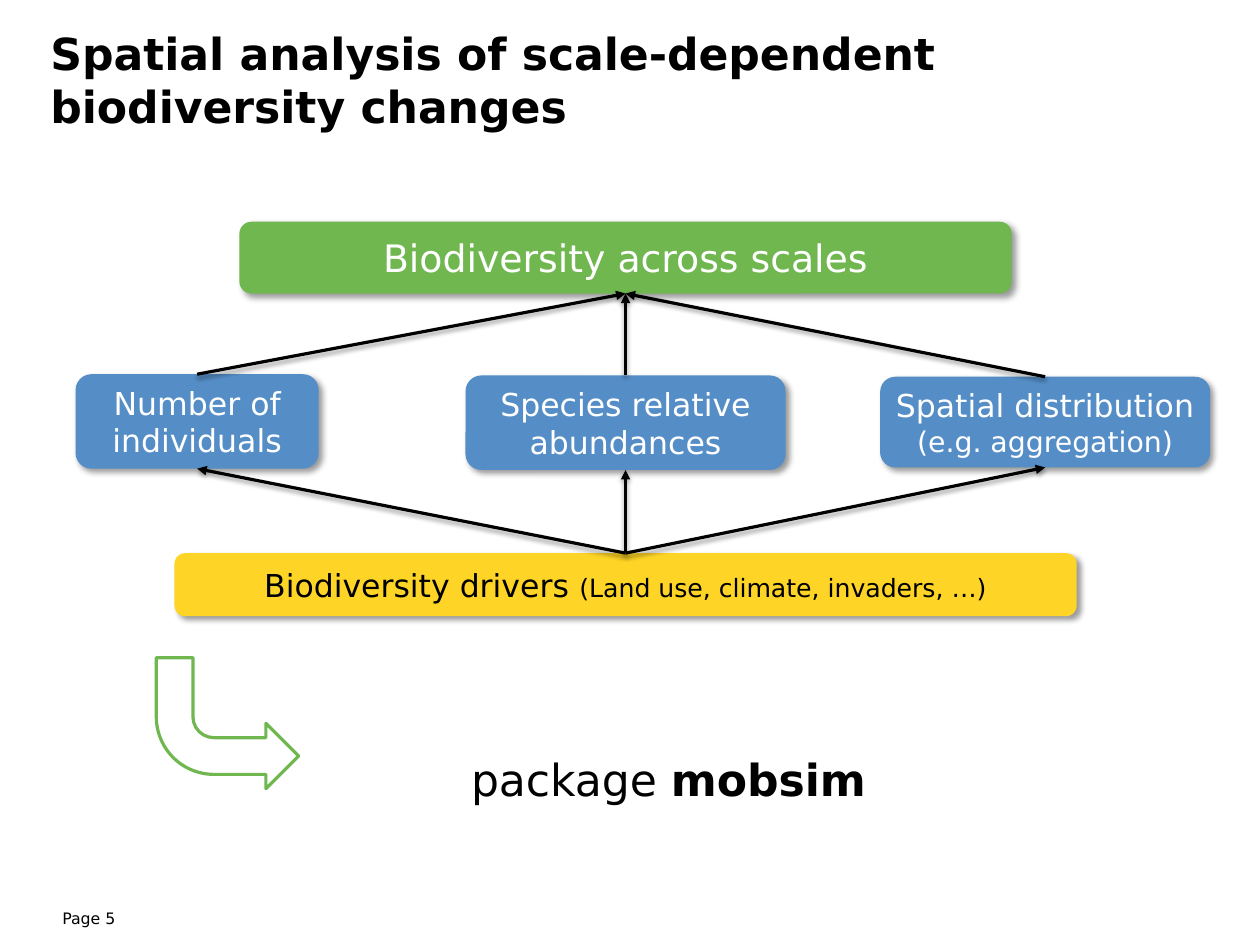
from dataclasses import dataclass

from lxml.etree import SubElement
from pptx import Presentation
from pptx.dml.color import RGBColor as Rgb
from pptx.enum.shapes import MSO_CONNECTOR as Connector, MSO_SHAPE as Preset
from pptx.enum.text import MSO_ANCHOR as Anchor, PP_ALIGN as Align
from pptx.oxml.ns import qn
from pptx.util import Inches, Pt

TOP, BOTTOM = 0, 2


@dataclass(frozen=True)
class Theme:
    """Colours, font, type sizes and shadows of the slide."""
    font: str = "DejaVu Sans"
    ink: str = "000000"
    paper: str = "FFFFFF"
    outcome: str = "70B74F"
    component: str = "558EC7"
    driver: str = "FED426"
    heading: int = 28
    large: int = 24
    body: int = 20
    medium: int = 18
    small: int = 16
    footer: int = 10
    stroke: int = 2
    box_shadow: tuple = (40, 4, 3, 45)
    arrow_shadow: tuple = (38, 3.1, 1.6, 90)


def write(frame, *paragraphs, theme, size, color, bold=False, align=Align.LEFT,
          anchor=Anchor.TOP, margins=(0, 0)):
    """Fill a frame with paragraphs, each a list of (text, overrides) runs."""
    frame.word_wrap = True
    frame.vertical_anchor = anchor
    frame.margin_left = frame.margin_right = Inches(margins[0])
    frame.margin_top = frame.margin_bottom = Inches(margins[1])
    for index, runs in enumerate(paragraphs):
        paragraph = frame.add_paragraph() if index else frame.paragraphs[0]
        paragraph.alignment = align
        for words, overrides in runs:
            run = paragraph.add_run()
            run.text = words
            run.font.name = theme.font
            run.font.size = Pt(overrides.get("size", size))
            run.font.bold = overrides.get("bold", bold)
            run.font.color.rgb = Rgb.from_string(color)


def cast_shadow(effects, color, opacity, blur, distance, angle):
    """Add an outer shadow to an effect list."""
    shadow = SubElement(effects, qn("a:outerShdw"), blurRad=str(Pt(blur)),
                        dist=str(Pt(distance)), dir=str(angle * 60000),
                        algn="ctr", rotWithShape="0")
    tint = SubElement(shadow, qn("a:srgbClr"), val=color)
    SubElement(tint, qn("a:alpha"), val=str(opacity * 1000))


class Sketch:
    """Draws on one slide, measured in a grid of 100 columns by 75 rows."""

    def __init__(self, deck, theme):
        self.theme = theme
        self.column = deck.slide_width / 100
        self.row = deck.slide_height / 75
        self.shapes = deck.slides.add_slide(deck.slide_layouts[6]).shapes

    def place(self, left, top, width, height):
        """Turn grid units into slide lengths."""
        return (round(left * self.column), round(top * self.row),
                round(width * self.column), round(height * self.row))

    def text(self, area, *runs, **style):
        """Add a text box with one paragraph."""
        frame = self.shapes.add_textbox(*self.place(*area)).text_frame
        write(frame, runs, theme=self.theme, **style)

    def box(self, center, top, width, height, fill, *paragraphs, **style):
        """Add a shadowed rounded box around a centre column."""
        area = self.place(center - width / 2, top, width, height)
        box = self.shapes.add_shape(Preset.ROUNDED_RECTANGLE, *area)
        box.fill.solid()
        box.fill.fore_color.rgb = Rgb.from_string(fill)
        box.line.fill.background()
        box.shadow.inherit = False
        effects = box.element.spPr.find(qn("a:effectLst"))
        cast_shadow(effects, self.theme.ink, *self.theme.box_shadow)
        write(box.text_frame, *paragraphs, theme=self.theme, align=Align.CENTER,
              anchor=Anchor.MIDDLE, margins=(0.08, 0.04), **style)
        return box

    def arrow(self, lower, upper):
        """Join the top of one box to the bottom of another."""
        arrow = self.shapes.add_connector(Connector.STRAIGHT, 0, 0, 0, 0)
        arrow.begin_connect(lower, TOP)
        arrow.end_connect(upper, BOTTOM)
        arrow.line.width = Pt(self.theme.stroke)
        arrow.line.color.rgb = Rgb.from_string(self.theme.ink)
        outline = arrow.element.spPr.find(qn("a:ln"))
        SubElement(outline, qn("a:tailEnd"), type="triangle")
        effects = SubElement(arrow.element.spPr, qn("a:effectLst"))
        cast_shadow(effects, self.theme.ink, *self.theme.arrow_shadow)

    def bent_arrow(self, area, color, adjustments):
        """Add an outlined arrow that bends from down to right."""
        bend = self.shapes.add_shape(Preset.BENT_ARROW, *self.place(*area))
        for index, value in enumerate(adjustments):
            bend.adjustments[index] = value
        bend.rotation = 180
        bend.element.spPr.find(qn("a:xfrm")).set("flipH", "1")
        bend.fill.background()
        bend.line.color.rgb = Rgb.from_string(color)
        bend.line.width = Pt(self.theme.stroke)
        bend.shadow.inherit = False


def main():
    """Build and save the slide."""
    deck = Presentation()
    deck.slide_width, deck.slide_height = Inches(11.11), Inches(8.33)
    theme = Theme()
    sketch = Sketch(deck, theme)
    axis = 49.65

    sketch.text((4.95, 72.1, 15.5, 1.5), ("Page 5", {}),
                size=theme.footer, color=theme.ink)
    sketch.text((4, 2.1, 92.2, 10.6),
                ("Spatial analysis of scale-dependent biodiversity changes", {}),
                size=theme.heading, color=theme.ink, bold=True)

    biodiversity = sketch.box(
        axis, 17.6, 61.3, 5.7, theme.outcome,
        [("Biodiversity across scales", {})],
        size=theme.large, color=theme.paper)
    drivers = sketch.box(
        axis, 43.9, 71.6, 5, theme.driver,
        [("Biodiversity drivers ", {}),
         ("(Land use, climate, invaders, …)", {"size": theme.small})],
        size=theme.body, color=theme.ink)

    components = (
        (15.65, 29.7, 19.3, 7.5, [[("Number of individuals", {})]]),
        (axis, 29.8, 25.4, 7.5, [[("Species relative abundances", {})]]),
        (82.95, 29.9, 26.2, 7.2, [[("Spatial distribution", {})],
                                  [("(e.g. aggregation)", {"size": theme.medium})]]),
    )
    for *area, paragraphs in components:
        component = sketch.box(*area, theme.component, *paragraphs,
                               size=theme.body, color=theme.paper)
        sketch.arrow(component, biodiversity)
        sketch.arrow(drivers, component)

    sketch.text((36.5, 59.3, 41.1, 5.1), ("package ", {}), ("mobsim", {"bold": True}),
                size=theme.heading, color=theme.ink, margins=(0.1, 0.05))
    sketch.bent_arrow((12.4, 52.2, 11.3, 10.4), theme.outcome, (0.28, 0.25, 0.25, 0.44))

    deck.save("out.pptx")


if __name__ == "__main__":
    main()
